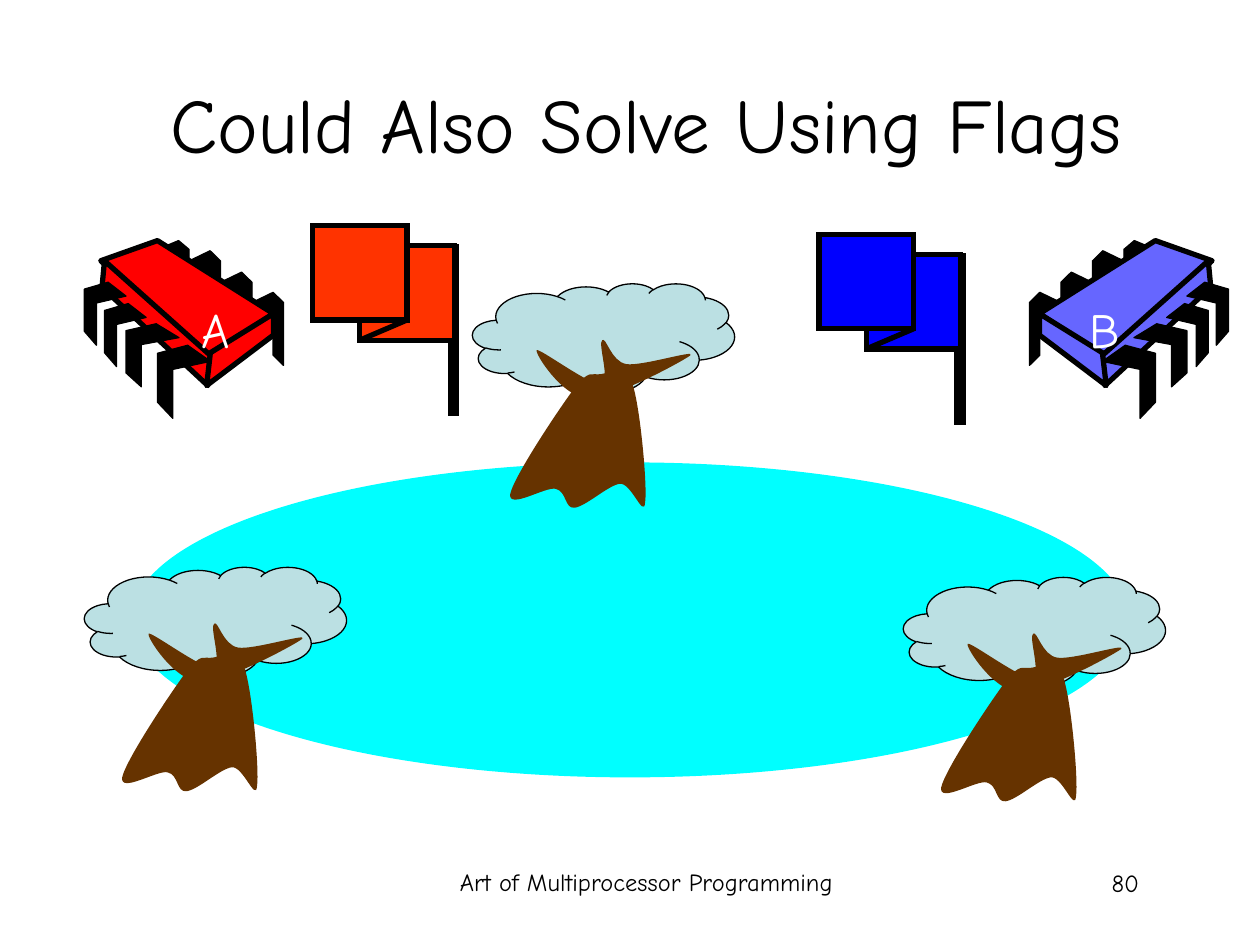
from dataclasses import dataclass

import pptx
import pptx.dml.color
import pptx.enum.shapes
import pptx.enum.text
import pptx.oxml
import pptx.oxml.ns
import pptx.util

Inches = pptx.util.Inches
Kind = pptx.enum.shapes.MSO_SHAPE
Align = pptx.enum.text.PP_ALIGN
Anchor = pptx.enum.text.MSO_ANCHOR
Point = tuple[float, float]

FONT = "Comic Neue"
SPACE = 'xmlns:a="http://schemas.openxmlformats.org/drawingml/2006/main"'
HUES = {
    "black": "000000", "white": "FFFFFF", "red": "FF0000", "mauve": "6666FF",
    "pond": "00FFFF", "leaf": "BBE0E3", "bark": "663300",
    "blue": "0000FF", "orange": "FF3300",
}
MIRROR = 10.42
BACK = [(0, .14), (.67, 0), (1, .14), (1, 1), (.67, .86), (.67, .29), (0, .43)]
FRONT = [(.57, 0), (1, .22), (.29, .33), (.29, 1), (0, .78), (0, .11)]
BACK_LEGS = [(2, 2.32, .25, .58), (1.75, 2.16, .25, .58),
             (1.5, 1.99, .25, .58), (1.25, 1.91, .25, .5)]
FRONT_LEGS = [(1.25, 2.74, .42, .58), (1, 2.57, .42, .5),
              (.83, 2.41, .33, .5), (.67, 2.24, .33, .5)]
FACES = [
    [(1.25, 1.91), (2.17, 2.49), (1.65, 2.84), (.8, 2.07)],
    [(.83, 2.07), (1.67, 2.82), (1.65, 3.06), (.81, 2.28)],
    [(2.17, 2.49), (2.17, 2.66), (1.64, 3.06), (1.67, 2.8)],
]
TRUNK = [
    (.81, .83), (.93, .68), (.94, .73), (1.02, .72), (1.09, .71), (1.21, .63),
    (1.27, .8), (1.33, .97), (1.39, 1.61), (1.37, 1.74), (1.36, 1.87),
    (1.26, 1.58), (1.17, 1.59), (1.08, 1.6), (.9, 1.77), (.81, 1.78),
    (.73, 1.79), (.75, 1.65), (.66, 1.63), (.58, 1.61), (.28, 1.8),
    (.3, 1.67), (.33, 1.53), (.69, .99), (.81, .83),
]
BRANCH = [
    (.51, .53), (.49, .55), (.71, .9), (.91, .91), (1.12, .92), (1.68, .61),
    (1.73, .57), (1.78, .52), (1.34, .66), (1.22, .64), (1.1, .62),
    (1.06, .42), (1.03, .45), (.99, .47), (1.1, .78), (1.02, .8),
    (.93, .81), (.53, .51), (.51, .53),
]


@dataclass
class Label:
    text: str
    left: float
    top: float
    width: float
    height: float
    size: float
    align: Align
    hue: str = "black"
    anchor: Anchor = Anchor.TOP
    wrap: bool = True


@dataclass
class Chip:
    hue: str
    flip: bool


@dataclass
class Flag:
    left: float
    top: float
    hue: str


def tint(name: str) -> pptx.dml.color.RGBColor:
    return pptx.dml.color.RGBColor.from_string(HUES[name])


def find(shape, tag: str) -> list:
    return list(shape.element.iter(pptx.oxml.ns.qn(tag)))


def paint(shape, hue: str, width: float = 0):
    shape.shadow.inherit = False
    shape.fill.solid()
    shape.fill.fore_color.rgb = tint(hue)
    if width:
        shape.line.color.rgb = tint("black")
        shape.line.width = pptx.util.Pt(width)
    else:
        shape.line.fill.background()
    return shape


def add_form(slide, kind: Kind, left: float, top: float, width: float,
             height: float, hue: str, line: float = 0):
    shape = slide.shapes.add_shape(
        kind, Inches(left), Inches(top), Inches(width), Inches(height))
    return paint(shape, hue, line)


def add_block(slide, left: float, top: float, width: float, height: float,
              hue: str, line: float):
    block = add_form(slide, Kind.RECTANGLE, left, top, width, height, hue, line)
    find(block, "a:ln")[0].append(
        pptx.oxml.parse_xml(f'<a:miter {SPACE} lim="800000"/>'))
    return block


def add_patch(slide, points: list[Point], hue: str, line: float = 0):
    spots = [(Inches(x), Inches(y)) for x, y in points]
    pen = slide.shapes.build_freeform(*spots[0])
    pen.add_line_segments(spots[1:], close=True)
    return paint(pen.convert_to_shape(), hue, line)


def add_curve(slide, knots: list[Point], hue: str):
    patch = add_patch(slide, knots, hue)
    lines = find(patch, "a:lnTo")
    for start in range(0, len(knots) - 1, 3):
        bend = pptx.oxml.parse_xml(f"<a:cubicBezTo {SPACE}/>")
        lines[start].addprevious(bend)
        for line in lines[start:start + 3]:
            bend.append(line[0])
            line.getparent().remove(line)
    return patch


def add_label(slide, label: Label) -> None:
    box = slide.shapes.add_textbox(Inches(label.left), Inches(label.top),
                                   Inches(label.width), Inches(label.height))
    frame = box.text_frame
    frame.word_wrap = label.wrap
    frame.vertical_anchor = label.anchor
    para = frame.paragraphs[0]
    para.alignment = label.align
    run = para.add_run()
    run.text = label.text
    run.font.name = FONT
    run.font.size = pptx.util.Pt(label.size)
    run.font.color.rgb = tint(label.hue)


def add_chip(slide, chip: Chip) -> None:
    def turn(points: list[Point]) -> list[Point]:
        return [(MIRROR - x, y) for x, y in points] if chip.flip else points

    def legs(spots: list[tuple], form: list[Point]) -> list:
        return [add_patch(slide, turn([(x + w * u, y + h * v) for u, v in form]),
                          "black", .75) for x, y, w, h in spots]

    parts = legs(BACK_LEGS, BACK)
    parts += [add_patch(slide, turn(face), chip.hue, 3) for face in FACES]
    parts += legs(FRONT_LEGS, FRONT)
    slide.shapes.add_group_shape(parts)


def add_tree(slide, left: float, top: float) -> None:
    crown = add_form(slide, Kind.CLOUD_CALLOUT, left, top, 2.08, .87, "leaf", .75)
    crown.adjustments[0] = .018
    crown.adjustments[1] = .493
    wood = [add_curve(slide, [(left + x, top + y) for x, y in knots], "bark")
            for knots in (TRUNK, BRANCH)]
    slide.shapes.add_group_shape([crown, *wood])


def add_flag(slide, flag: Flag) -> None:
    x, y, side = flag.left, flag.top, .75
    half = side / 2
    pole = add_block(slide, x + 1.09, y + .16, .06, 1.34, "black", 2.25)
    rear = add_block(slide, x + half, y + .16, side, side, flag.hue, 3)
    fold = slide.shapes.add_connector(
        pptx.enum.shapes.MSO_CONNECTOR.STRAIGHT, Inches(x + half),
        Inches(y + side + .16), Inches(x + side), Inches(y + side))
    fold.line.color.rgb = tint("black")
    fold.line.width = pptx.util.Pt(3)
    fold.element.spPr.append(pptx.oxml.parse_xml(f"<a:effectLst {SPACE}/>"))
    face = add_block(slide, x, y, side, side, flag.hue, 3)
    slide.shapes.add_group_shape([pole, rear, fold, face])


def main() -> None:
    deck = pptx.Presentation()
    deck.slide_width, deck.slide_height = Inches(10), Inches(7.5)
    slide = deck.slides.add_slide(deck.slide_layouts[6])
    for label in (
        Label("Art of Multiprocessor Programming", 3.42, 6.83, 3.42, .52, 14, Align.CENTER),
        Label("80", 7.06, 6.84, 2.08, .5, 14, Align.RIGHT),
        Label("Could Also Solve Using Flags", .88, .35, 8.5, 1.25, 44, Align.CENTER,
              anchor=Anchor.MIDDLE),
    ):
        add_label(slide, label)
    for chip in (Chip("red", False), Chip("mauve", True)):
        add_chip(slide, chip)
    add_form(slide, Kind.OVAL, 1.04, 3.67, 7.92, 2.5, "pond")
    for text, left, width in (("A", 1.43, .49), ("B", 8.54, .45)):
        add_label(slide, Label(text, left, 2.33, width, .57, 28, Align.RIGHT,
                               "white", wrap=False))
    for left, top in ((3.75, 2.25), (7.17, 4.58), (.67, 4.5)):
        add_tree(slide, left, top)
    for flag in (Flag(6.5, 1.86, "blue"), Flag(2.48, 1.79, "orange")):
        add_flag(slide, flag)
    deck.save("out.pptx")


if __name__ == "__main__":
    main()
